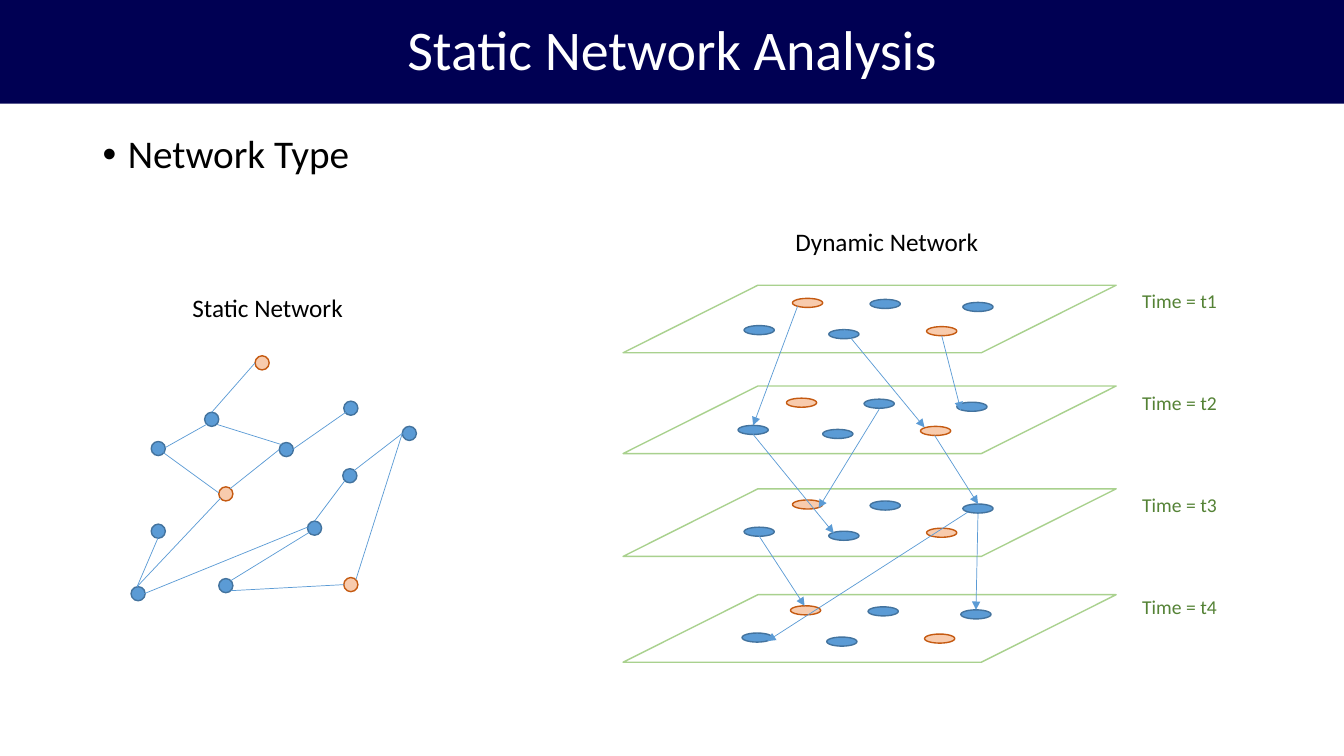
"""Build a slide that compares a static network with a dynamic one."""
from lxml import etree
from pptx import Presentation
from pptx import util as u
from pptx.dml.color import RGBColor
from pptx.enum import shapes, text
from pptx.oxml.ns import qn

PX = 9144
FONT = "Calibri"
NAVY = RGBColor(0x00, 0x00, 0x53)
WHITE = RGBColor(0xFF, 0xFF, 0xFF)
BLACK = RGBColor(0x00, 0x00, 0x00)
BLUE = RGBColor(0x5B, 0x9B, 0xD5)
BLUE_EDGE = RGBColor(0x43, 0x73, 0x9E)
PEACH = RGBColor(0xF8, 0xCB, 0xAD)
ORANGE_EDGE = RGBColor(0xC5, 0x5A, 0x11)
LIGHT_GREEN = RGBColor(0xA9, 0xD1, 0x8E)
GREEN = RGBColor(0x54, 0x82, 0x35)

STATIC_BLUE = [(150, 438), (150, 520), (203, 409), (305, 517), (217, 574), (277, 439),
               (340, 465), (130, 582), (399, 423), (341, 398)]
STATIC_ORANGE = [(253, 353), (217, 483), (341, 573)]
STATIC_LINKS = [
    (210, 409, 253, 360), (217, 489, 162, 449), (228, 485, 277, 446), (290, 446, 343, 409),
    (136, 582, 219, 494), (136, 582, 157, 533), (312, 517, 342, 477), (229, 576, 307, 528),
    (143, 589, 305, 523), (229, 586, 341, 580), (353, 575, 399, 430), (164, 444, 205, 421),
    (279, 441, 215, 421), (351, 467, 399, 430)]

LAYER_BLUE = [(738, 323), (863, 297), (822, 327), (955, 300)]
LAYER_ORANGE = [(786, 296), (919, 324)]
LAYERS = [(283, 0, 0), (383, -6, 99), (485, 0, 200), (590, -2, 305)]
TIME_LINKS = [
    (791, 304, 747, 422), (837, 327, 917, 424), (747, 431, 827, 529),
    (872, 406, 812, 504), (960, 508, 761, 636), (970, 509, 968, 605),
    (927, 432, 970, 500), (934, 333, 953, 407), (753, 532, 798, 601)]


def px(*lengths):
    """Turn pixel lengths into EMU."""
    return [length * PX for length in lengths]


def add_figure(parent, kind, box, fill=None, edge=None):
    """Add a preset shape with a plain fill and outline."""
    figure = parent.add_shape(kind, *px(*box))
    figure.shadow.inherit = False
    if fill is None:
        figure.fill.background()
    else:
        figure.fill.solid()
        figure.fill.fore_color.rgb = fill
    if edge is None:
        figure.line.fill.background()
    else:
        figure.line.color.rgb = edge
        figure.line.width = u.Pt(1)
    return figure


def add_nodes(parent, corners, size, fill, edge):
    """Add one ellipse at each corner."""
    for corner in corners:
        add_figure(parent, shapes.MSO_SHAPE.OVAL, (*corner, *size), fill, edge)


def add_links(parent, links, arrow=False):
    """Add thin straight links, with an arrowhead at the end on request."""
    for ends in links:
        link = parent.add_connector(shapes.MSO_CONNECTOR.STRAIGHT, *px(*ends))
        link.line.color.rgb = BLUE
        link.line.width = u.Pt(0.5)
        if arrow:
            etree.SubElement(link.line._get_or_add_ln(), qn("a:tailEnd"), type="triangle")
        etree.SubElement(link._element.spPr, qn("a:effectLst"))


def write(holder, wording, size, color, align=text.PP_ALIGN.LEFT,
          anchor=text.MSO_ANCHOR.TOP, spacing=None, before=None, bullet=None):
    """Put formatted wording into a shape or text box."""
    frame = holder.text_frame
    frame.word_wrap = True
    frame.vertical_anchor = anchor
    line = frame.paragraphs[0]
    line.alignment = align
    if spacing:
        line.line_spacing = spacing
    if before:
        line.space_before = u.Pt(before)
    if bullet:
        marks = line._p.get_or_add_pPr()
        marks.set("marL", str(25 * PX))
        marks.set("indent", str(-25 * PX))
        etree.SubElement(marks, qn("a:buFont"), typeface="Arial")
        etree.SubElement(marks, qn("a:buChar"), char=bullet)
    run = line.add_run()
    run.text = wording
    run.font.name = FONT
    run.font.size = u.Pt(size)
    run.font.color.rgb = color


def add_label(parent, wording, box, size, color, **layout):
    """Add a text box with one line of wording."""
    write(parent.add_textbox(*px(*box)), wording, size, color, **layout)


def add_static_network(canvas):
    """Draw the static network."""
    network = canvas.add_group_shape().shapes
    add_nodes(network, STATIC_BLUE, (14, 14), BLUE, BLUE_EDGE)
    add_nodes(network, STATIC_ORANGE, (14, 14), PEACH, ORANGE_EDGE)
    add_links(network, STATIC_LINKS)


def add_dynamic_network(canvas):
    """Draw one plane of nodes for each time and the links between them."""
    network = canvas.add_group_shape().shapes
    for top, dx, dy in LAYERS:
        plane = add_figure(network, shapes.MSO_SHAPE.PARALLELOGRAM,
                           (618, top, 489, 67), edge=LIGHT_GREEN)
        plane.adjustments[0] = 1.995
        for corners, fill, edge in ((LAYER_BLUE, BLUE, BLUE_EDGE),
                                    (LAYER_ORANGE, PEACH, ORANGE_EDGE)):
            moved = [(x + dx, y + dy) for x, y in corners]
            add_nodes(network, moved, (30, 9), fill, edge)
    add_links(network, TIME_LINKS, arrow=True)


def main():
    """Build the slide and save it."""
    deck = Presentation()
    deck.slide_width, deck.slide_height = px(1333, 750)
    canvas = deck.slides.add_slide(deck.slide_layouts[6]).shapes
    add_label(canvas, "Network Type", (92, 129, 1150, 53), 28, BLACK,
              spacing=0.9, before=10, bullet="•")
    add_static_network(canvas)
    add_dynamic_network(canvas)
    add_label(canvas, "Dynamic Network", (779, 220, 252, 40), 18, BLACK)
    for step in range(4):
        add_label(canvas, f"Time = t{step + 1}", (1123, 282 + 101 * step, 148, 34), 14, GREEN)
    add_label(canvas, "Static Network", (181, 285, 252, 40), 18, BLACK)
    banner = add_figure(canvas, shapes.MSO_SHAPE.RECTANGLE, (0, 0, 1333, 103), NAVY)
    write(banner, "Static Network Analysis", 40, WHITE, align=text.PP_ALIGN.CENTER,
          anchor=text.MSO_ANCHOR.MIDDLE, spacing=0.9)
    deck.save("out.pptx")


if __name__ == "__main__":
    main()
